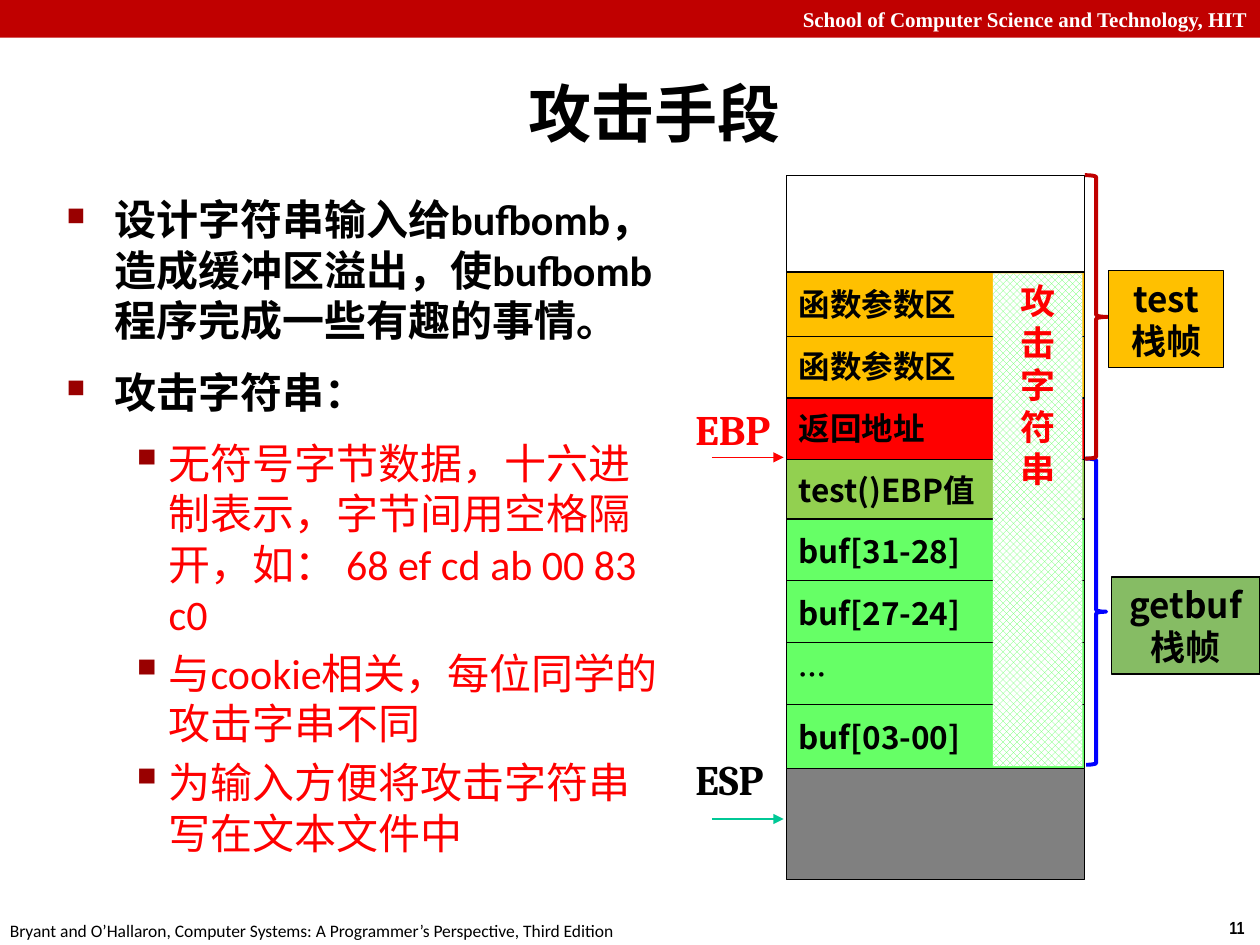
from dataclasses import dataclass

import pptx
import pptx.dml.color
import pptx.enum.dml
import pptx.enum.shapes
import pptx.enum.text
import pptx.oxml
import pptx.oxml.ns
import pptx.util
from lxml import etree

Inches = pptx.util.Inches
Pt = pptx.util.Pt
RGBColor = pptx.dml.color.RGBColor
Preset = pptx.enum.shapes.MSO_SHAPE
Anchor = pptx.enum.text.MSO_ANCHOR
Align = pptx.enum.text.PP_ALIGN
qn = pptx.oxml.ns.qn

BLACK = RGBColor(0, 0, 0)
WHITE = RGBColor(0xFF, 0xFF, 0xFF)
RED = RGBColor(0xFF, 0, 0)
CRIMSON = RGBColor(0xC0, 0, 0)
BLUE = RGBColor(0, 0, 0xFF)
GREY = RGBColor(0x80, 0x80, 0x80)
TEAL = RGBColor(0, 0xC8, 0x96)
ORANGE = RGBColor(0xFF, 0xC0, 0)
LIME = RGBColor(0x92, 0xD0, 0x50)
GREEN = RGBColor(0x66, 0xFF, 0x66)
MOSS = RGBColor(0x86, 0xBC, 0x64)
BULLET = "990000"

CJK = "Noto Sans CJK SC"
BODY_FONT = "Calibri"

# Stack grid
STACK_LEFT, STACK_WIDTH = 6.24, 2.37
ROWS_TOP, ROW_PITCH, ROW_HEIGHT = 2.16, 0.49, 0.51
STACK_TOP, FRAME_EDGE, STACK_BOTTOM = 1.39, 3.64, 6.98


@dataclass
class Style:
    size: float
    font: str = CJK
    color: RGBColor = BLACK
    bold: bool = True
    align: Align = Align.LEFT
    anchor: Anchor = Anchor.TOP
    line_points: float | None = None


@dataclass
class Row:
    text: str
    fill: RGBColor
    size: float = 18


@dataclass
class Pointer:
    name: str
    color: RGBColor
    line_color: RGBColor
    label_top: float
    arrow_y: float


@dataclass
class Frame:
    text: str
    fill: RGBColor
    brace_color: RGBColor
    brace: tuple[float, float, float, float]
    label: tuple[float, float, float, float]


@dataclass
class Point:
    text: str
    level: int
    space_before: float


def format_paragraph(paragraph, style: Style) -> None:
    paragraph.alignment = style.align
    if style.line_points:
        paragraph.line_spacing = Pt(style.line_points)
    for run in paragraph.runs:
        run.font.size = Pt(style.size)
        run.font.bold = style.bold
        run.font.name = style.font
        run.font.color.rgb = style.color
        east_asian = etree.Element(qn("a:ea"), typeface=style.font)
        run.font._element.find(qn("a:latin")).addnext(east_asian)


def write(shape, text: str, style: Style, wrap: bool = True) -> None:
    frame = shape.text_frame
    frame.text = text
    frame.word_wrap = wrap
    frame.vertical_anchor = style.anchor
    for paragraph in frame.paragraphs:
        format_paragraph(paragraph, style)


def add_text(slide, box, text: str, style: Style, wrap: bool = True):
    shape = slide.shapes.add_textbox(*map(Inches, box))
    write(shape, text, style, wrap)
    return shape


def add_box(slide, box, fill: RGBColor | None, line: RGBColor | None = BLACK,
            line_width: float = 0.75, preset=Preset.RECTANGLE):
    shape = slide.shapes.add_shape(preset, *map(Inches, box))
    shape.shadow.inherit = False
    if fill is None:
        shape.fill.background()
    else:
        shape.fill.solid()
        shape.fill.fore_color.rgb = fill
    if line is None:
        shape.line.fill.background()
    else:
        shape.line.color.rgb = line
        shape.line.width = Pt(line_width)
    return shape


def add_pointer(slide, pointer: Pointer) -> None:
    add_text(slide, (5.42, pointer.label_top, 0.83, 0.5), pointer.name,
             Style(24, "Cambria", pointer.color))
    y = Inches(pointer.arrow_y)
    arrow = slide.shapes.add_connector(
        pptx.enum.shapes.MSO_CONNECTOR.STRAIGHT, Inches(5.65), y, Inches(6.22), y)
    arrow.line.color.rgb = pointer.line_color
    arrow.line.width = Pt(0.75)
    etree.SubElement(arrow.line._get_or_add_ln(), qn("a:tailEnd"), type="triangle")
    etree.SubElement(arrow._element.spPr, qn("a:effectLst"))


def add_points(slide, points: list[Point]) -> None:
    box = (0.43, 1.49, 4.98, 5.44)
    shape = add_text(slide, box, "\n".join(point.text for point in points), Style(24))
    levels = (
        (Style(24, BODY_FONT), 0.38, -0.38, "■", "60000"),
        (Style(24, BODY_FONT, RED, bold=False), 0.81, -0.31, "▪", "110000"),
    )
    for paragraph, point in zip(shape.text_frame.paragraphs, points):
        style, margin, indent, mark, size = levels[point.level]
        for run in paragraph.runs:
            for east_asian in run.font._element.findall(qn("a:ea")):
                run.font._element.remove(east_asian)
        format_paragraph(paragraph, style)
        paragraph.level = point.level
        paragraph.space_before = Pt(point.space_before)
        properties = paragraph._p.get_or_add_pPr()
        properties.set("marL", str(Inches(margin)))
        properties.set("indent", str(Inches(indent)))
        color = etree.SubElement(properties, qn("a:buClr"))
        etree.SubElement(color, qn("a:srgbClr"), val=BULLET)
        etree.SubElement(properties, qn("a:buSzPct"), val=size)
        etree.SubElement(properties, qn("a:buChar"), char=mark)


ROWS = [
    Row("函数参数区", ORANGE),
    Row("函数参数区", ORANGE),
    Row("返回地址", RED),
    Row("test()EBP值", LIME),
    Row("buf[31-28]", GREEN),
    Row("buf[27-24]", GREEN),
    Row("…", GREEN, 16),
    Row("buf[03-00]", GREEN),
]
# The lower frame goes first; the upper one overlaps it, row by row upwards
ROW_ORDER = (3, 4, 5, 6, 7, 2, 1, 0)

POINTERS = [
    Pointer("EBP", RED, RED, 3.15, 3.63),
    Pointer("ESP", BLACK, TEAL, 5.93, 6.5),
]
FRAMES = [
    Frame("getbuf栈帧", MOSS, BLUE, (8.62, 3.64, 0.16, 2.43), (8.82, 4.58, 1.18, 0.77)),
    Frame("test\n栈帧", ORANGE, CRIMSON, (8.61, 1.39, 0.18, 2.25), (8.8, 2.15, 0.91, 0.77)),
]
POINTS = [
    Point("设计字符串输入给bufbomb，造成缓冲区溢出，使bufbomb程序完成一些有趣的事情。", 0, 12),
    Point("攻击字符串：", 0, 12),
    Point("无符号字节数据，十六进制表示，字节间用空格隔开，如： 68 ef cd ab 00 83 c0", 1, 12),
    Point("与cookie相关，每位同学的攻击字串不同", 1, 4.8),
    Point("为输入方便将攻击字符串写在文本文件中", 1, 4.8),
]

presentation = pptx.Presentation()
presentation.slide_width = Inches(10)
presentation.slide_height = Inches(7.5)
slide = presentation.slides.add_slide(presentation.slide_layouts[6])

# Page number, footer and header bar
add_text(slide, (9.66, 7.23, 0.34, 0.27), "11", Style(10, "Arial Narrow"), wrap=False)
add_text(slide, (-0.02, 7.25, 5.08, 0.27),
         "Bryant and O’Hallaron, Computer Systems: A Programmer’s Perspective, Third Edition",
         Style(10, BODY_FONT, bold=False), wrap=False)
header = add_box(slide, (0, 0, 10, 0.3), CRIMSON, None)
write(header, "School of Computer Science and Technology, HIT",
      Style(12, "Times New Roman", WHITE, align=Align.RIGHT, anchor=Anchor.MIDDLE))

# Title and bullet points
add_text(slide, (0.39, 0.48, 9.61, 0.83), "攻击手段",
         Style(36, BODY_FONT, align=Align.CENTER, anchor=Anchor.MIDDLE))
add_points(slide, POINTS)

# Stack background, pointers and rows
add_box(slide, (STACK_LEFT, FRAME_EDGE, STACK_WIDTH, STACK_BOTTOM - FRAME_EDGE), GREY)
add_box(slide, (STACK_LEFT, STACK_TOP, STACK_WIDTH, FRAME_EDGE - STACK_TOP), WHITE)
for pointer in POINTERS:
    add_pointer(slide, pointer)
for index in ROW_ORDER:
    row = ROWS[index]
    top = ROWS_TOP + index * ROW_PITCH
    cell = add_box(slide, (STACK_LEFT, top, STACK_WIDTH, ROW_HEIGHT), row.fill)
    write(cell, row.text, Style(row.size, anchor=Anchor.MIDDLE))

# Stack frames with braces
for frame in FRAMES:
    add_box(slide, frame.brace, None, frame.brace_color, 2.25, Preset.RIGHT_BRACE)
    label = add_box(slide, frame.label, frame.fill)
    write(label, frame.text, Style(20, align=Align.CENTER, line_points=24))

# Attack string strip
strip = add_box(slide, (7.88, 2.17, 0.71, 3.91), WHITE, None)
strip.fill.patterned()
strip.fill.pattern = pptx.enum.dml.MSO_PATTERN.LARGE_CHECKER_BOARD
strip.fill.fore_color.rgb = GREEN
strip.fill.back_color.rgb = WHITE
write(strip, "攻 击 字 符 串", Style(20, color=RED, align=Align.CENTER))

presentation.save("out.pptx")
